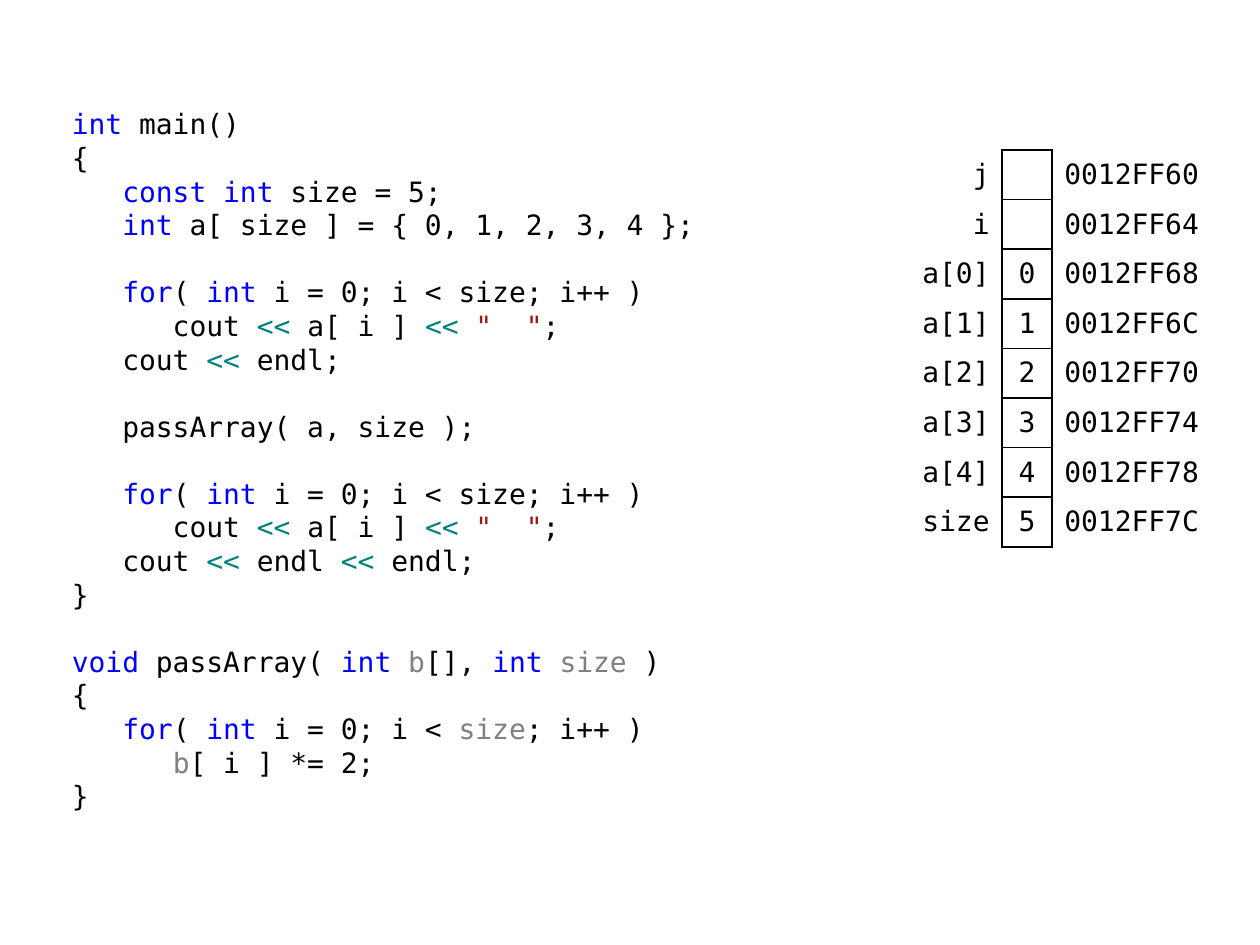
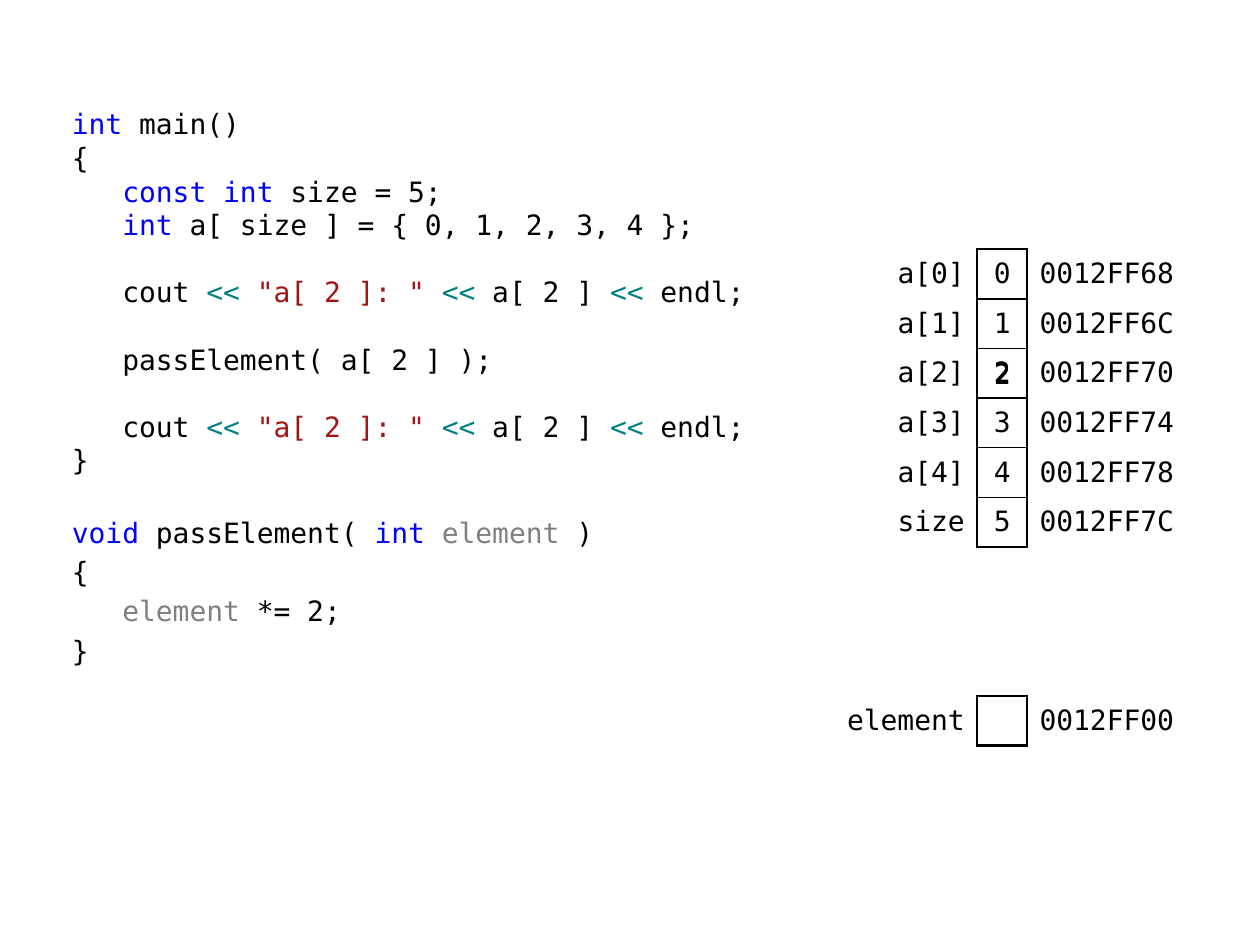
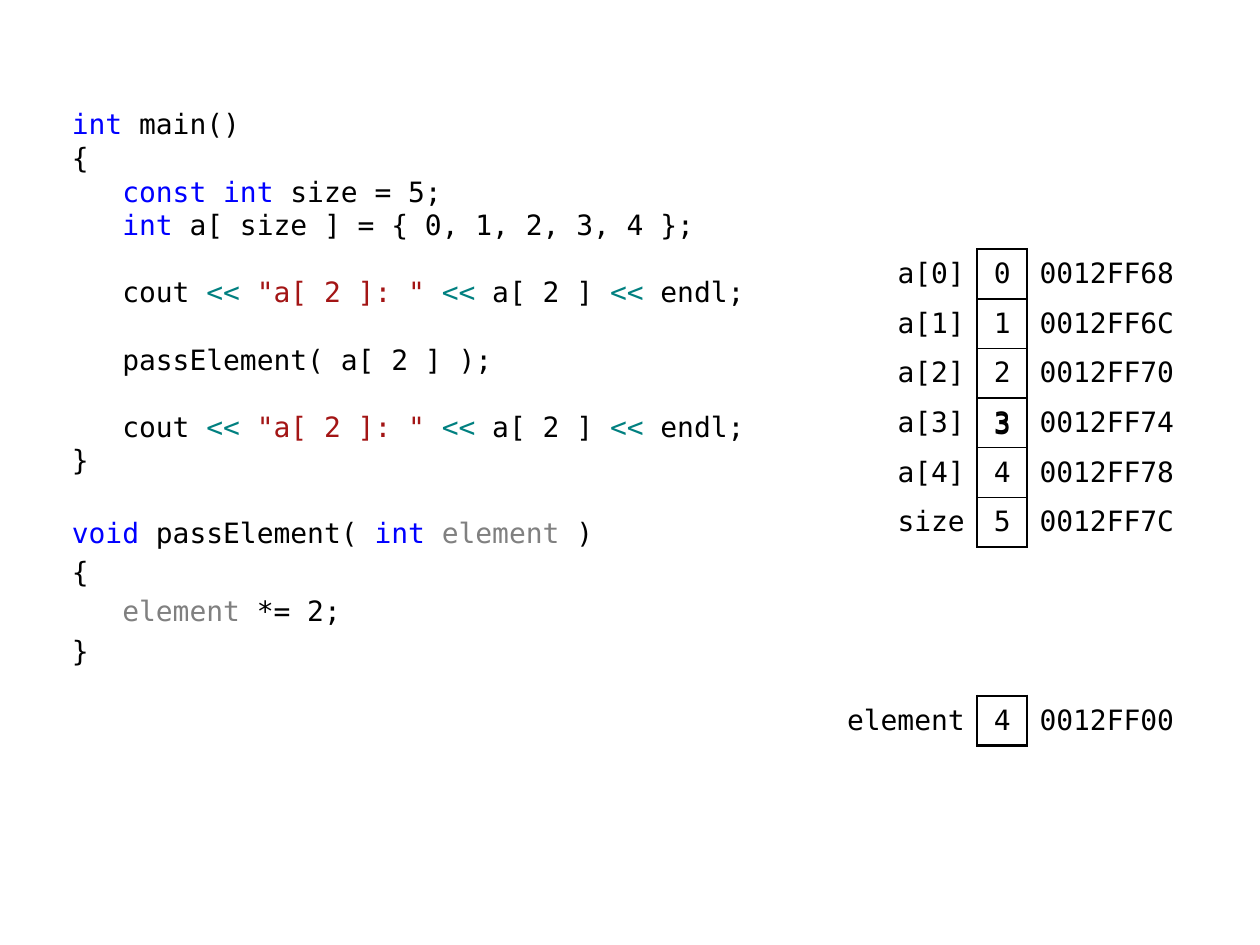
"""Build three slides that trace passing arrays and array elements in C++."""
from itertools import groupby

from lxml import etree
from pptx import Presentation
from pptx import util as u
from pptx.dml import color as c
from pptx.enum import text as t
from pptx.oxml import ns

COLORS = {"plain": "000000", "keyword": "0000FF", "operator": "008080",
          "string": "A31515", "parameter": "808080", "border": "000000"}
KEYWORDS = {"int", "const", "for", "void"}
CELL = 28.35
LABEL_WIDTH = 2 * CELL
ADDRESS_WIDTH = 3.5 * CELL
STACK_BOTTOM = 312.5
OUTER, INNER = 1.5, 1

DECLARATIONS = """int main()
{
   const int size = 5;
   int a[ size ] = { 0, 1, 2, 3, 4 };
"""
PRINT_LOOP = """
   for( int i = 0; i < size; i++ )
      cout << a[ i ] << "  ";
"""
PRINT_ELEMENT = """
   cout << "a[ 2 ]: " << a[ 2 ] << endl;
"""
ARRAY_MAIN = (DECLARATIONS + PRINT_LOOP + "   cout << endl;\n"
              + "\n   passArray( a, size );\n"
              + PRINT_LOOP + "   cout << endl << endl;\n}")
ARRAY_FUNCTION = """
void passArray( int b[], int size )
{
   for( int i = 0; i < size; i++ )
      b[ i ] *= 2;
}"""
ELEMENT_MAIN = (DECLARATIONS + PRINT_ELEMENT
                + "\n   passElement( a[ 2 ] );\n" + PRINT_ELEMENT + "}")
ELEMENT_FUNCTION = """
void passElement( int element )
{
   element *= 2;
}"""
STACK = [(f"a[{index}]", str(index)) for index in range(5)] + [("size", "5")]


def add_text(para, words, *, color="plain", size=16, font="DejaVu Sans Mono"):
    """Append one formatted run to a paragraph."""
    span = para.add_run()
    span.text = words
    span.font.size = u.Pt(size)
    span.font.name = font
    span.font.color.rgb = c.RGBColor.from_string(COLORS[color])


def character_class(character):
    """Tell words, spaces and symbols apart."""
    return "word" if character.isalnum() else "space" if character.isspace() else "symbol"


def token_color(token, parameters):
    """Name the highlight colour of a code token."""
    if token in KEYWORDS:
        return "keyword"
    if token in parameters:
        return "parameter"
    return "operator" if token == "<<" else "plain"


def highlight(line, parameters):
    """Split a code line into (text, colour name) pieces."""
    pieces = []
    for index, part in enumerate(line.split('"')):
        if index % 2:
            pieces.append((f'"{part}"', "string"))
            continue
        tokens = ("".join(group) for _, group in groupby(part, character_class))
        pieces += [(token, token_color(token, parameters)) for token in tokens]
    return [("".join(token for token, _ in group), color)
            for color, group in groupby(pieces, lambda piece: piece[1])]


class CodeDeck:
    """Hold the deck style and the current slide."""

    line_height = 19.2

    def __init__(self):
        """Start an empty deck of 10 by 7.5 inches."""
        self.deck = Presentation()
        self.deck.slide_width, self.deck.slide_height = u.Pt(720), u.Pt(540)
        self.page = None

    def add_page(self):
        """Start a blank slide."""
        self.page = self.deck.slides.add_slide(self.deck.slide_layouts[6])

    def add_box(self, left, top, width, height):
        """Add a wrapping text box and return its frame."""
        box = self.page.shapes.add_textbox(*map(u.Pt, (left, top, width, height)))
        box.text_frame.word_wrap = True
        return box.text_frame

    def add_code(self, main, function, parameters, function_gap=0):
        """Show highlighted code, with parameters marked in the second function."""
        frame = self.add_box(34, 57.6, 411, 411)
        para = frame.paragraphs[0]
        sections = ((main, (), 0), (function, parameters, function_gap))
        for source, marked, line_gap in sections:
            gap = line_gap
            for line in source.splitlines():
                if not line:
                    gap += self.line_height
                    continue
                if para.runs:
                    para = frame.add_paragraph()
                para.line_spacing = u.Pt(self.line_height)
                para.space_before = u.Pt(gap)
                for words, color in highlight(line, marked):
                    add_text(para, words, color=color)
                gap = line_gap

    def add_memory(self, rows, value_left, bottom, last_address, label_widths=(LABEL_WIDTH,)):
        """Draw variables as a table of name, value and address."""
        widths = [*label_widths, CELL, ADDRESS_WIDTH]
        height = len(rows) * CELL
        table = self.page.shapes.add_table(
            len(rows), len(widths), u.Pt(value_left - sum(label_widths)),
            u.Pt(bottom - height), u.Pt(sum(widths)), u.Pt(height)).table
        table.first_row = table.horz_banding = False
        for column, width in zip(table.columns, widths):
            column.width = u.Pt(width)
        blanks = [""] * (len(label_widths) - 1)
        for index, (name, value) in enumerate(rows):
            table.rows[index].height = u.Pt(CELL)
            address = f"{last_address - 4 * (len(rows) - 1 - index):08X}"
            above = INNER if index else OUTER
            below = INNER if index < len(rows) - 1 else OUTER
            formats = [("", t.PP_ALIGN.LEFT, {})] * len(blanks) + [
                (name, t.PP_ALIGN.RIGHT, {"R": OUTER}),
                (value, t.PP_ALIGN.CENTER, {"L": OUTER, "R": OUTER, "T": above, "B": below}),
                (address, t.PP_ALIGN.LEFT, {"L": OUTER})]
            for cell, (words, align, borders) in zip(table.rows[index].cells, formats):
                self.format_cell(cell, words, align, borders)

    def format_cell(self, cell, words, align, borders):
        """Set the text, margins, borders and fill of a cell."""
        cell.vertical_anchor = t.MSO_ANCHOR.MIDDLE
        cell.margin_left = cell.margin_right = u.Pt(7.2)
        cell.margin_top = cell.margin_bottom = u.Pt(3)
        para = cell.text_frame.paragraphs[0]
        para.alignment = align
        para.font.size = u.Pt(16)
        if words:
            add_text(para, words)
        properties = cell._tc.get_or_add_tcPr()
        for side in "LRTB":
            line = etree.SubElement(properties, ns.qn(f"a:ln{side}"))
            if side in borders:
                line.set("w", str(u.Pt(borders[side])))
                fill = etree.SubElement(line, ns.qn("a:solidFill"))
                etree.SubElement(fill, ns.qn("a:srgbClr"), val=COLORS["border"])
            else:
                etree.SubElement(line, ns.qn("a:noFill"))
        cell.fill.background()

    def add_copied_value(self, value, left, top):
        """Lay a centred value over a memory cell."""
        frame = self.add_box(left, top, CELL, CELL)
        frame.margin_left = frame.margin_right = 0
        frame.vertical_anchor = t.MSO_ANCHOR.MIDDLE
        para = frame.paragraphs[0]
        para.alignment = t.PP_ALIGN.CENTER
        add_text(para, value)


def main():
    """Build and save the slides."""
    show = CodeDeck()
    show.add_page()
    show.add_code(ARRAY_MAIN, ARRAY_FUNCTION, {"b", "size"})
    show.add_memory([("j", ""), ("i", "")] + STACK, 572.7, STACK_BOTTOM, 0x12FF7C,
                    label_widths=(LABEL_WIDTH, LABEL_WIDTH))

    value_left = 558.5
    for element, copied in (("", 2), ("4", 3)):
        show.add_page()
        show.add_code(ELEMENT_MAIN, ELEMENT_FUNCTION, {"element"}, function_gap=3.2)
        show.add_memory(STACK, value_left, STACK_BOTTOM, 0x12FF7C)
        show.add_memory([("element", element)], value_left, 426, 0x12FF00,
                        label_widths=(3 * CELL,))
        show.add_copied_value(str(copied), value_left,
                              STACK_BOTTOM - (len(STACK) - copied) * CELL)
    show.deck.save("out.pptx")


if __name__ == "__main__":
    main()
